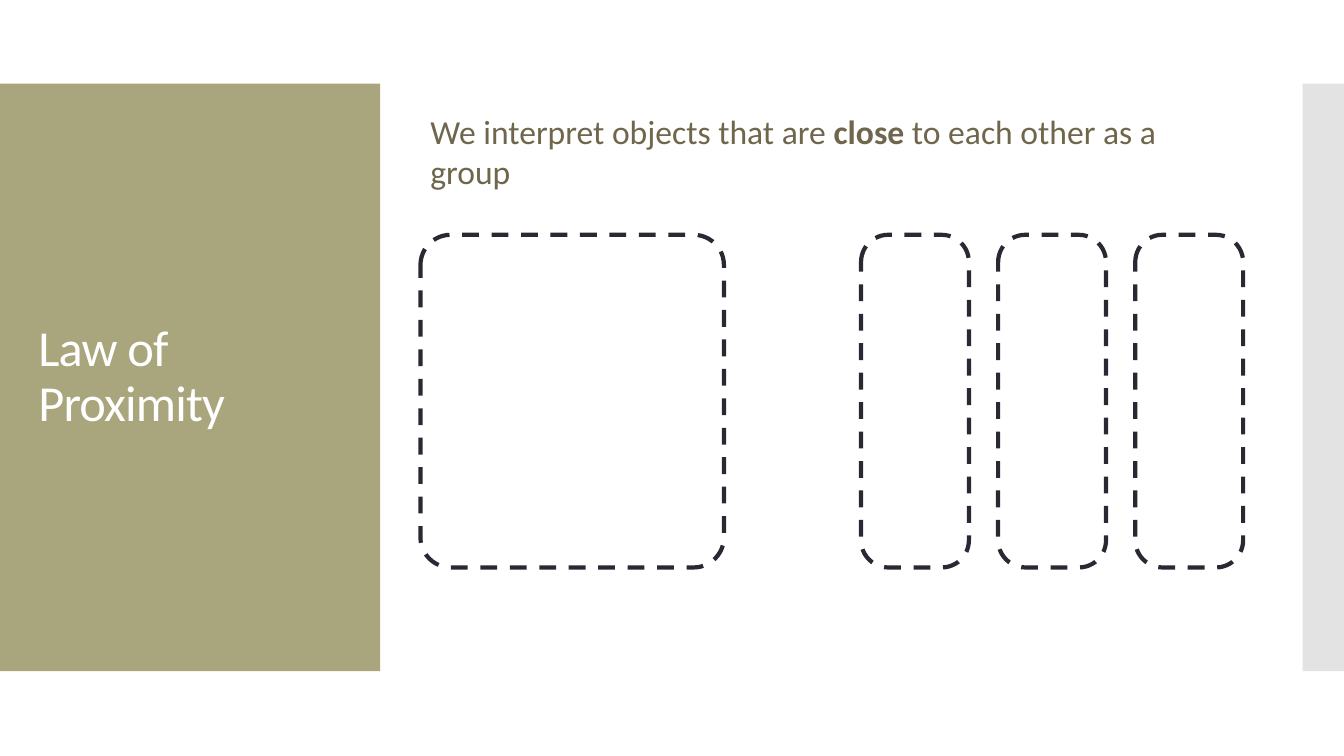
from dataclasses import dataclass

from lxml import etree
from pptx import Presentation
from pptx.dml.color import RGBColor
from pptx.enum.dml import MSO_LINE
from pptx.enum.shapes import MSO_SHAPE
from pptx.enum.text import MSO_ANCHOR, MSO_AUTO_SIZE, PP_ALIGN
from pptx.oxml.ns import qn
from pptx.util import Inches, Pt

RECT = MSO_SHAPE.RECTANGLE
ROUNDED = MSO_SHAPE.ROUNDED_RECTANGLE
DASH = MSO_LINE.DASH
MIDDLE, TOP = MSO_ANCHOR.MIDDLE, MSO_ANCHOR.TOP
NO_FIT = MSO_AUTO_SIZE.NONE
LEFT = PP_ALIGN.LEFT


@dataclass(frozen=True)
class Theme:
    """Colours, font and sizes of the slide."""
    font: str = "Calibri"
    olive: RGBColor = RGBColor(0xA9, 0xA5, 0x7C)
    grey: RGBColor = RGBColor(0xC8, 0xC8, 0xC8)
    brown: RGBColor = RGBColor(0x6F, 0x66, 0x4C)
    ink: RGBColor = RGBColor(0x29, 0x29, 0x34)
    white: RGBColor = RGBColor(0xFF, 0xFF, 0xFF)
    title_size: Pt = Pt(36)
    body_size: Pt = Pt(24)
    outline: Pt = Pt(3)


THEME = Theme()


def apply_format(target, values):
    """Set each attribute of target from a dict."""
    for name, value in values.items():
        setattr(target, name, value)


def add_band(s, left, width, color, alpha=None):
    """Add a full-height colour band, optionally with an alpha percentage."""
    sp = s.shapes.add_shape(RECT, Inches(left), Inches(0.83), Inches(width), Inches(5.83))
    sp.shadow.inherit = False
    sp.fill.solid()
    sp.fill.fore_color.rgb = color
    sp.line.fill.background()
    if alpha is not None:
        clr = sp.element.spPr.find(qn("a:solidFill"))[0]
        etree.SubElement(clr, qn("a:alpha")).set("val", str(alpha * 1000))


def add_dashed_box(s, left, width, radius):
    """Add an unfilled rounded box with a dashed outline."""
    sp = s.shapes.add_shape(ROUNDED, Inches(left), Inches(2.33), Inches(width), Inches(3.3))
    sp.adjustments[0] = radius / width
    sp.shadow.inherit = False
    sp.fill.background()
    sp.line.color.rgb = THEME.ink
    apply_format(sp.line, {"width": THEME.outline, "dash_style": DASH})


def write_text(sp, box, runs, size, color, anchor):
    """Place a text shape and fill it with (text, bold) runs."""
    apply_format(sp, dict(zip(("left", "top", "width", "height"), map(Inches, box))))
    tf = sp.text_frame
    apply_format(tf, {"word_wrap": True, "auto_size": NO_FIT, "vertical_anchor": anchor})
    p = tf.paragraphs[0]
    p.alignment = LEFT
    for text, bold in runs:
        r = p.add_run()
        r.text = text
        apply_format(r.font, {"name": THEME.font, "size": size, "bold": bold})
        r.font.color.rgb = color
    return p


def add_title(s, text):
    """Set the slide title in front of the olive band."""
    title = s.shapes.title
    p = write_text(title, (0.28, 1.23, 3.22, 5.03), [(text, False)],
                   THEME.title_size, THEME.white, MIDDLE)
    p.line_spacing = 0.9
    p.runs[0].font._element.set("spc", "-60")
    title.element.getparent().append(title.element)


def add_statement(s, runs):
    """Add the statement above the boxes."""
    sp = s.shapes.add_textbox(0, 0, 0, 0)
    write_text(sp, (4.17, 1.05, 7.95, 0.95), runs, THEME.body_size, THEME.brown, TOP)


def main():
    """Build and save the slide."""
    prs = Presentation()
    apply_format(prs, {"slide_width": Inches(13.33), "slide_height": Inches(7.5)})
    s = prs.slides.add_slide(prs.slide_layouts[5])
    add_band(s, 0, 3.77, THEME.olive)
    add_band(s, 12.92, 0.41, THEME.grey, alpha=50)
    add_statement(s, [("We interpret objects that are ", False), ("close", True),
                      (" to each other as a group", False)])
    add_dashed_box(s, 4.17, 3.01, 0.3)
    for i in range(3):
        add_dashed_box(s, 8.54 + 1.36 * i, 1.07, 0.27)
    add_title(s, "Law of Proximity")
    prs.save("out.pptx")


if __name__ == "__main__":
    main()
